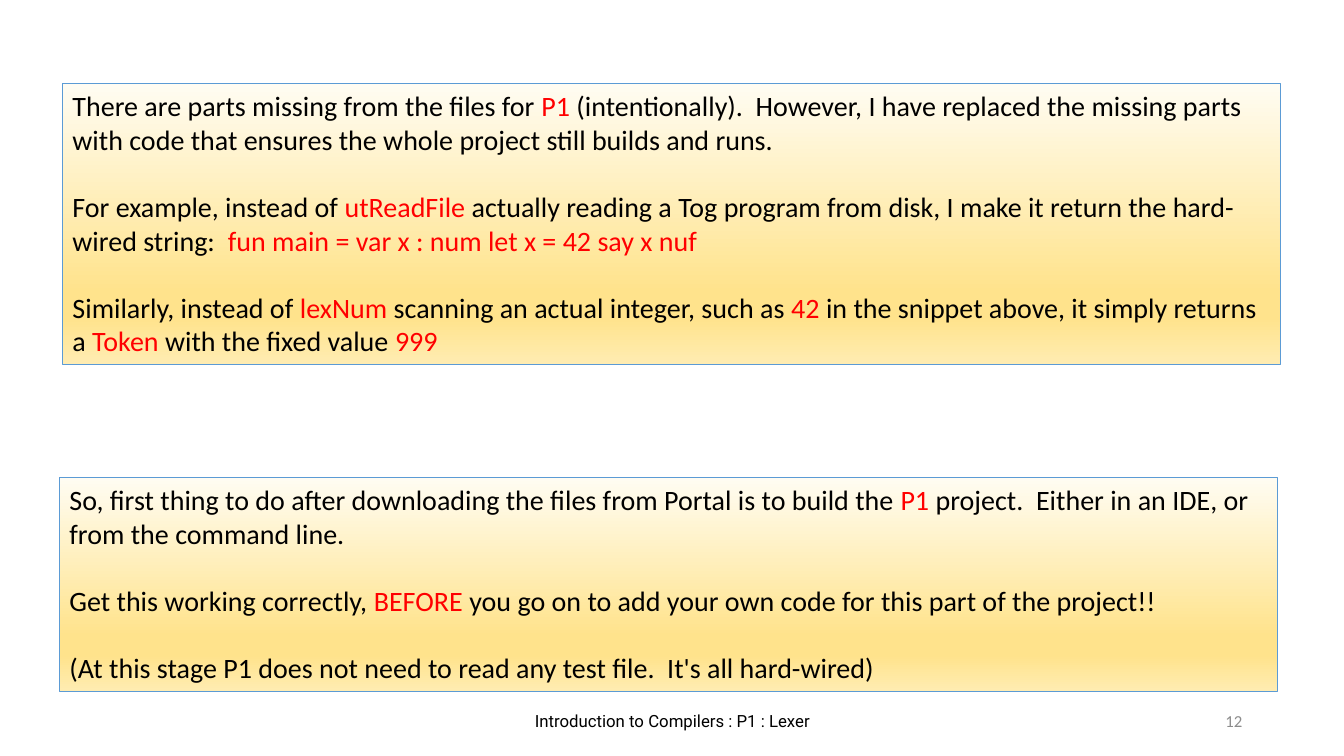
"""Build the slide on the missing parts of project P1."""
from lxml import etree
from pptx import Presentation
from pptx import util as u
from pptx.dml.color import RGBColor
from pptx.enum import shapes, text
from pptx.oxml import ns

BLACK = RGBColor(0x00, 0x00, 0x00)
RED = RGBColor(0xFF, 0x00, 0x00)
GRAY = RGBColor(0x8C, 0x8C, 0x8C)
BLUE = RGBColor(0x5B, 0x9B, 0xD5)
CREAM = RGBColor(0xFF, 0xFC, 0xF2)
GOLD = RGBColor(0xFF, 0xE3, 0x8C)
PALE_GOLD = RGBColor(0xFF, 0xEC, 0xB2)
GRADIENT = [(0, CREAM), (74, GOLD), (83, GOLD), (100, PALE_GOLD)]

MISSING_PARTS = [
    "There are parts missing from the files for |P1| (intentionally).  However, I have "
    "replaced the missing parts with code that ensures the whole project still builds and runs.",
    "For example, instead of |utReadFile| actually reading a Tog program from disk, I make it "
    "return the hard-wired string:  |fun main = var x : num let x = 42 say x nuf",
    "Similarly, instead of |lexNum| scanning an actual integer, such as |42| in the snippet "
    "above, it simply returns a |Token| with the fixed value |999",
]
FIRST_STEPS = [
    "So, first thing to do after downloading the files from Portal is to build the |P1| project.  "
    "Either in an IDE, or from the command line.",
    "Get this working correctly, |BEFORE| you go on to add your own code for this part of "
    "the project!!",
    "(At this stage P1 does not need to read any test file.  It's all hard-wired)",
]


def style_font(font, name, size, color):
    """Set the face, size and colour of a font."""
    font.name = name
    font.size = u.Pt(size)
    font.color.rgb = color


def fill_gradient(panel):
    """Apply the cream-to-gold gradient from top to bottom."""
    panel.fill.gradient()
    panel.fill.gradient_angle = 270
    stops = panel.element.spPr.find(ns.qn("a:gradFill")).find(ns.qn("a:gsLst"))
    for stop in list(stops):
        stops.remove(stop)
    for percent, color in GRADIENT:
        stop = etree.SubElement(stops, ns.qn("a:gs"), pos=str(percent * 1000))
        etree.SubElement(stop, ns.qn("a:srgbClr"), val=str(color))


def add_panel(slide, left, top, height, passages):
    """Add a gradient panel; every second phrase between bars is red."""
    panel = slide.shapes.add_shape(
        shapes.MSO_SHAPE.RECTANGLE,
        u.Inches(left), u.Inches(top), u.Inches(12.08), u.Inches(height))
    panel.shadow.inherit = False
    fill_gradient(panel)
    panel.line.color.rgb = BLUE
    panel.line.width = u.Pt(0.75)
    frame = panel.text_frame
    frame.word_wrap = True
    frame.vertical_anchor = text.MSO_ANCHOR.TOP
    for index, passage in enumerate(passages):
        paragraph = frame.add_paragraph() if index else frame.paragraphs[0]
        paragraph.alignment = text.PP_ALIGN.LEFT
        if index:
            paragraph.space_before = u.Pt(24)
        style_font(paragraph.font, "Calibri", 20, BLACK)
        for position, phrase in enumerate(passage.split("|")):
            run = paragraph.add_run()
            run.text = phrase
            if position % 2:
                run.font.color.rgb = RED


def add_footer(slide, left, width, alignment, face, color):
    """Add an empty footer box and return its paragraph."""
    footer = slide.shapes.add_textbox(
        u.Inches(left), u.Inches(6.95), u.Inches(width), u.Inches(0.4))
    frame = footer.text_frame
    frame.word_wrap = True
    frame.vertical_anchor = text.MSO_ANCHOR.MIDDLE
    paragraph = frame.paragraphs[0]
    paragraph.alignment = alignment
    style_font(paragraph.font, face, 12, color)
    return paragraph


def add_slide_number(paragraph, number):
    """Append a slide number field to a paragraph."""
    field = etree.SubElement(
        paragraph._p, ns.qn("a:fld"),
        id="{B6F15528-21DE-4FAA-801E-634DDDAF4B2B}", type="slidenum")
    etree.SubElement(field, ns.qn("a:rPr"), lang="en-US")
    etree.SubElement(field, ns.qn("a:t")).text = str(number)


def main():
    """Build and save the slide."""
    deck = Presentation()
    deck.slide_width, deck.slide_height = u.Inches(13.33), u.Inches(7.5)
    deck.element.set("firstSlideNum", "12")
    slide = deck.slides.add_slide(deck.slide_layouts[6])
    course = add_footer(slide, 4.42, 4.5, text.PP_ALIGN.CENTER, "Roboto", BLACK)
    course.add_run().text = "Introduction to Compilers : P1 : Lexer"
    page = add_footer(slide, 9.42, 3, text.PP_ALIGN.RIGHT, "Calibri", GRAY)
    add_slide_number(page, 12)
    add_panel(slide, 0.62, 0.83, 2.79, MISSING_PARTS)
    add_panel(slide, 0.59, 4.74, 2.12, FIRST_STEPS)
    deck.save("out.pptx")


if __name__ == "__main__":
    main()
